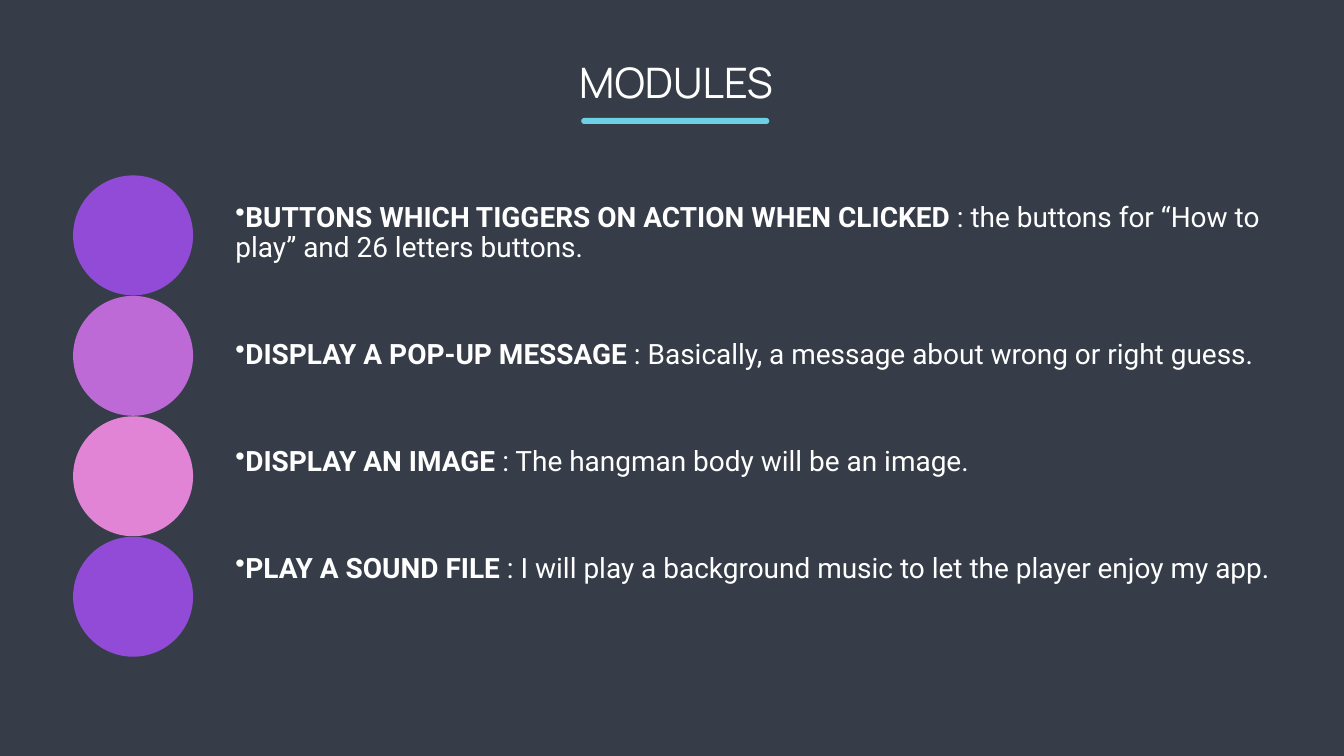
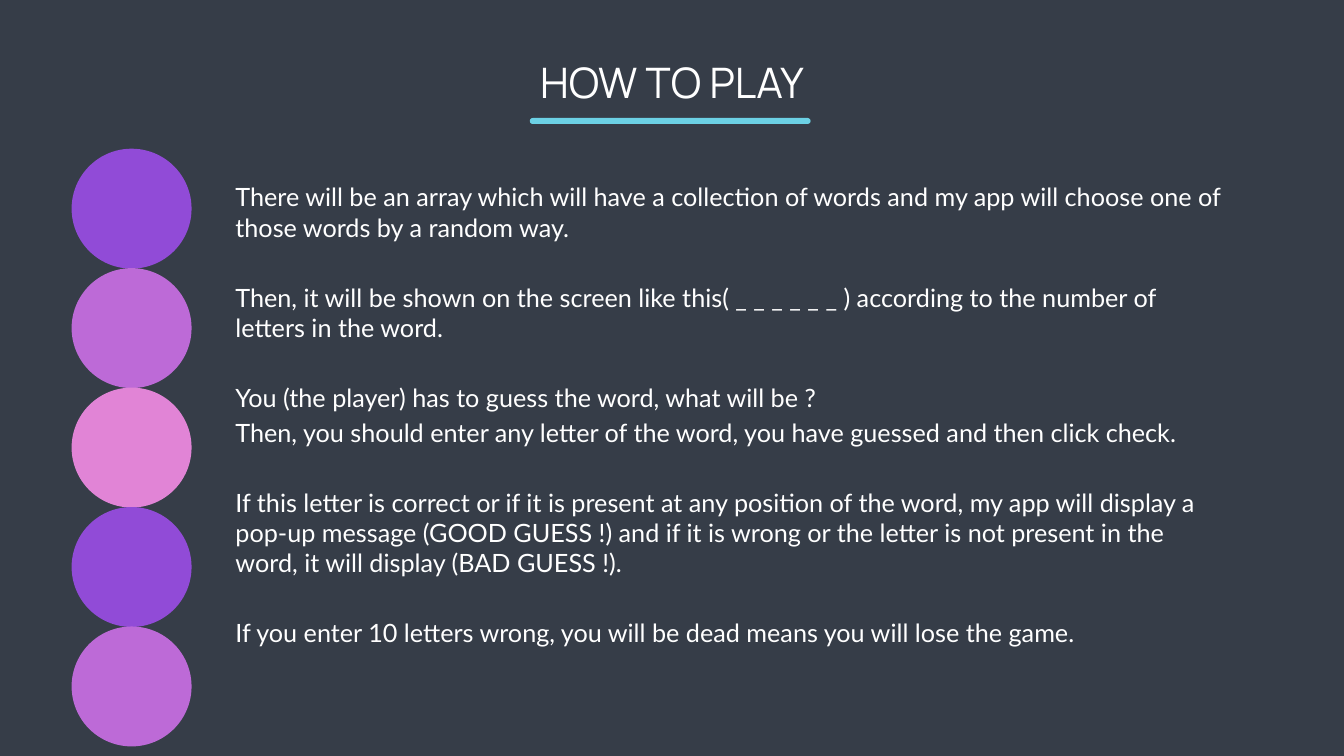
from itertools import cycle, islice

from lxml.etree import SubElement
from pptx import Presentation
from pptx.dml.color import RGBColor
from pptx.enum.shapes import MSO_SHAPE
from pptx.enum.text import MSO_ANCHOR, MSO_AUTO_SIZE, PP_ALIGN
from pptx.oxml.ns import qn
from pptx.util import Inches, Pt

SLATE = RGBColor(0x36, 0x3D, 0x48)
WHITE = RGBColor(0xFF, 0xFF, 0xFF)
AQUA = RGBColor(0x6C, 0xD1, 0xE5)
PURPLE = RGBColor(0x91, 0x4B, 0xD7)
ORCHID = RGBColor(0xBD, 0x6A, 0xD7)
PINK = RGBColor(0xE1, 0x84, 0xD6)
CIRCLE_COLOURS = (PURPLE, ORCHID, PINK)

SLIDE_WIDTH, SLIDE_HEIGHT = 26.66, 15
TITLE_TOP, TITLE_WIDTH, TITLE_HEIGHT = 1.13, 16.06, 1.11
RULE_TOP, RULE_HEIGHT = 2.34, 0.12
CIRCLE_SIZE = 2.38
BODY_LEFT = 4.43
BODY_INSETS = (0.24, 0.12)
LINE_PITCH = 43

# Each paragraph: space before in points, then (text, bold) spans.
MODULE_GAP = 110
MODULES = [
    (0, [("BUTTONS WHICH TIGGERS ON ACTION WHEN CLICKED ", True),
         (": the buttons for “How to play” and 26 letters buttons.", False)]),
    (MODULE_GAP, [("DISPLAY A POP-UP MESSAGE ", True),
                  (": Basically, a message about wrong or right guess.", False)]),
    (MODULE_GAP, [("DISPLAY AN IMAGE ", True),
                  (": The hangman body will be an image.", False)]),
    (MODULE_GAP, [("PLAY A SOUND FILE ", True),
                  (": I will play a background music to let the player enjoy my app.", False)]),
]
STEP_GAP, FOLLOW_GAP = 57, 7
STEPS = [
    (0, [("There will be an array which will have a collection of words and my app "
          "will choose one of those words by a random way.", False)]),
    (STEP_GAP, [("Then, it will be shown on the screen like this( _ _ _ _ _ _ ) "
                 "according to the number of letters in the word.", False)]),
    (STEP_GAP, [("You (the player) has to guess the word, what will be ?", False)]),
    (FOLLOW_GAP, [("Then, you should enter any letter of the word, you have guessed "
                   "and then click check.", False)]),
    (STEP_GAP, [("If this letter is correct or if it is present at any position of the "
                 "word, my app will display a pop-up message (GOOD GUESS !) and if it is "
                 "wrong or the letter is not present in the word, it will display "
                 "(BAD GUESS !).", False)]),
    (STEP_GAP, [("If you enter 10 letters wrong, you will be dead means you will lose "
                 "the game.", False)]),
]


def add_span(para, text, *, font, size, bold=False, colour=WHITE):
    span = para.add_run()
    span.text = text
    span.font.name = font
    span.font.size = Pt(size)
    span.font.bold = bold
    span.font.color.rgb = colour


def format_frame(frame, insets=(0, 0)):
    side, end = map(Inches, insets)
    frame.margin_left = frame.margin_right = side
    frame.margin_top = frame.margin_bottom = end
    frame.word_wrap = True
    frame.auto_size = MSO_AUTO_SIZE.NONE
    frame.vertical_anchor = MSO_ANCHOR.TOP


def add_bullet(para):
    """Put a bullet right against the text, with no hanging indent."""
    properties = para._p.get_or_add_pPr()
    properties.set("marL", "0")
    properties.set("indent", "0")
    SubElement(properties, qn("a:buChar"), char="•")


def add_plain_shape(page, kind, box, colour):
    shape = page.shapes.add_shape(kind, *map(Inches, box))
    shape.shadow.inherit = False
    shape.fill.solid()
    shape.fill.fore_color.rgb = colour
    shape.line.fill.background()
    return shape


def place_title(page, text, left, rule_left, rule_width):
    title = page.shapes.title
    title.left, title.top = Inches(left), Inches(TITLE_TOP)
    title.width, title.height = Inches(TITLE_WIDTH), Inches(TITLE_HEIGHT)
    format_frame(title.text_frame)
    para = title.text_frame.paragraphs[0]
    para.alignment = PP_ALIGN.CENTER
    add_span(para, text, font="Manrope", size=60)
    rule = add_plain_shape(page, MSO_SHAPE.ROUNDED_RECTANGLE,
                           (rule_left, RULE_TOP, rule_width, RULE_HEIGHT), AQUA)
    rule.adjustments[0] = 0.5


def add_circle_column(page, left, top, pitch, count):
    for row, colour in enumerate(islice(cycle(CIRCLE_COLOURS), count)):
        box = (left, top + row * pitch, CIRCLE_SIZE, CIRCLE_SIZE)
        add_plain_shape(page, MSO_SHAPE.OVAL, box, colour)


def add_body(page, box, paragraphs, *, font, size, bulleted=False):
    frame = page.shapes.add_textbox(*map(Inches, box)).text_frame
    format_frame(frame, BODY_INSETS)
    for index, (gap, spans) in enumerate(paragraphs):
        para = frame.add_paragraph() if index else frame.paragraphs[0]
        para.line_spacing = Pt(LINE_PITCH)
        para.space_before = Pt(gap)
        if bulleted:
            add_bullet(para)
        for text, bold in spans:
            add_span(para, text, font=font, size=size, bold=bold)


def add_page(deck):
    title_only = deck.slide_layouts[5]
    return deck.slides.add_slide(title_only)


def build_modules(deck):
    page = add_page(deck)
    place_title(page, "MODULES", left=5.38, rule_left=11.53, rule_width=3.73)
    add_circle_column(page, left=1.45, top=3.48, pitch=2.39, count=4)
    add_body(page, (BODY_LEFT, 3.9, 21.04, 9.43), MODULES,
             font="Roboto", size=40, bulleted=True)


def build_how_to_play(deck):
    page = add_page(deck)
    place_title(page, "HOW TO PLAY", left=5.3, rule_left=10.51, rule_width=5.57)
    add_circle_column(page, left=1.42, top=2.95, pitch=2.37, count=5)
    add_body(page, (BODY_LEFT, 3.49, 20.2, 9.77), STEPS, font="Lato", size=36)


def main():
    deck = Presentation()
    deck.slide_width, deck.slide_height = Inches(SLIDE_WIDTH), Inches(SLIDE_HEIGHT)
    backdrop = deck.slide_master.background.fill
    backdrop.solid()
    backdrop.fore_color.rgb = SLATE
    build_modules(deck)
    build_how_to_play(deck)
    deck.save("out.pptx")


if __name__ == "__main__":
    main()
